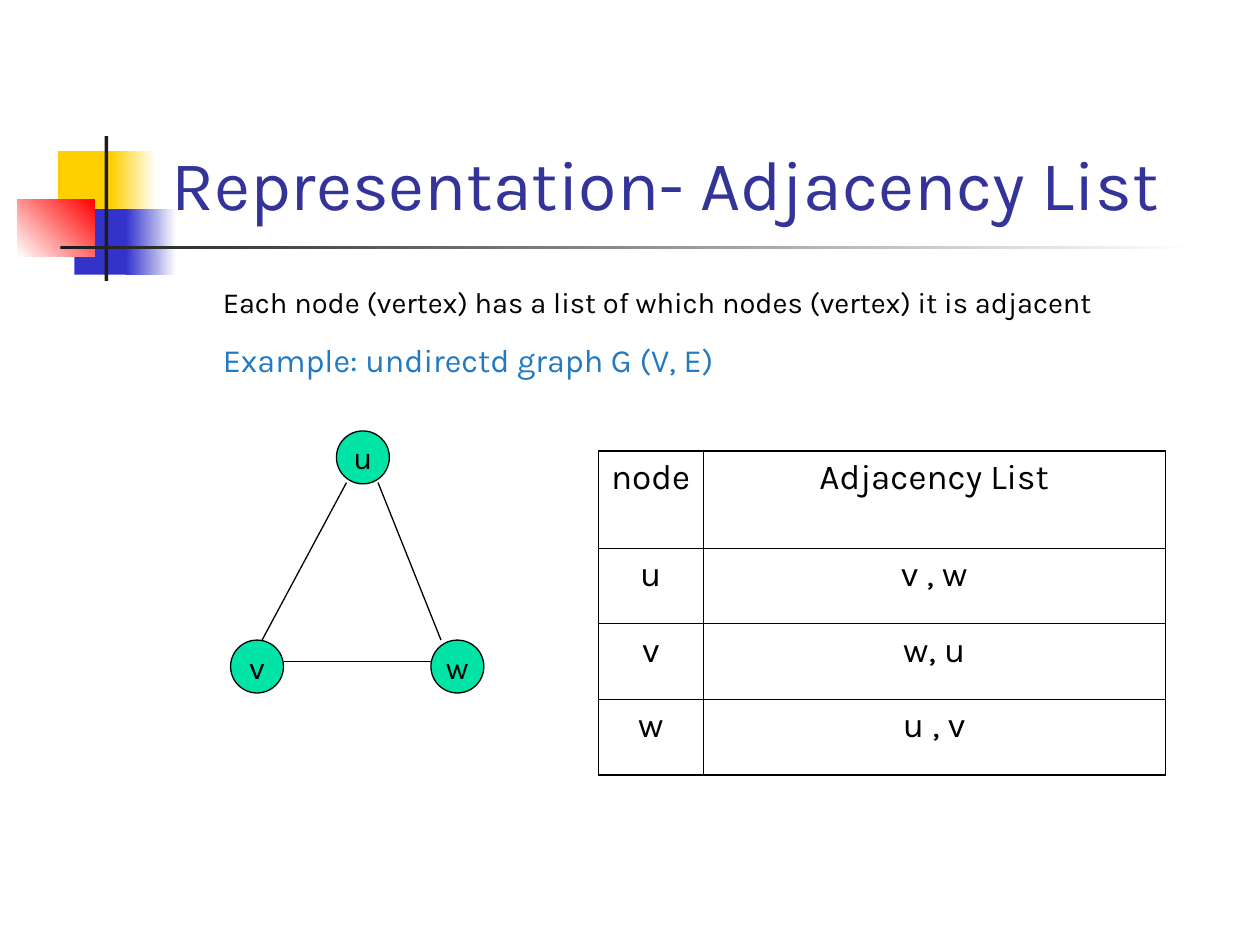
"""Build a slide that explains the adjacency list of a small undirected graph."""
from lxml import etree
from pptx import Presentation
from pptx.dml.color import RGBColor
from pptx.enum.shapes import MSO_CONNECTOR, MSO_SHAPE
from pptx.enum.text import MSO_ANCHOR, PP_ALIGN
from pptx.oxml.ns import qn
from pptx.util import Inches, Pt

RECTANGLE, OVAL = MSO_SHAPE.RECTANGLE, MSO_SHAPE.OVAL
STRAIGHT = MSO_CONNECTOR.STRAIGHT
LEFT, CENTER, JUSTIFY = PP_ALIGN.LEFT, PP_ALIGN.CENTER, PP_ALIGN.JUSTIFY
MIDDLE, BOTTOM = MSO_ANCHOR.MIDDLE, MSO_ANCHOR.BOTTOM

FONT = "Karla"
BLACK, WHITE, DARK = "000000", "FFFFFF", "1C1C1C"
YELLOW, BLUE, RED, GREEN = "FFCF01", "3333CC", "FF0000", "00E4A8"
TITLE = "Representation- Adjacency List"
STATEMENTS = [
    ("Each node (vertex) has a list of which nodes (vertex) it is adjacent",
     {"size": 16.6, "color": BLACK, "before": 4.5}),
    ("Example: undirectd graph G (V, E)",
     {"size": 18.5, "color": "237AC1", "before": 11.8}),
]
ORNAMENTS = [
    ((0.46, 1.2, 0.48, 0.52), [YELLOW], 0),
    ((0.88, 1.2, 0.36, 0.52), [YELLOW, WHITE], 0),
    ((0.59, 1.66, 0.46, 0.52), [BLUE], 0),
    ((1, 1.66, 0.4, 0.52), [BLUE, WHITE], 0),
    ((0.14, 1.58, 0.61, 0.46), [WHITE, RED], 45),
    ((0.83, 1.08, 0.03, 1.15), [DARK], 0),
    ((0.48, 1.95, 9, 0.03), [DARK, WHITE], 0),
]
NODE_SIZE = 0.42
NODES = {"u": (2.67, 3.42), "v": (1.83, 5.08), "w": (3.42, 5.08)}
EDGES = [((2.25, 5.25), (3.42, 5.25)), ((3, 3.83), (3.5, 5.08)), ((2.75, 3.83), (2.08, 5.08))]
ROWS = [("node", "Adjacency List"), ("u", "v , w"), ("v", "w, u"), ("w", "u , v")]
COLUMN_WIDTHS = [0.83, 3.67]
ROW_HEIGHTS = [0.77, 0.6, 0.6, 0.6]
OUTER, INNER = 1.08, 0.45


def rgb(value):
    """Turn a hex string into a colour."""
    return RGBColor.from_string(value)


def write(paragraph, text, size=20, color=BLACK, align=CENTER, before=0):
    """Put formatted text into a paragraph."""
    paragraph.alignment = align
    paragraph.space_before = Pt(before)
    run = paragraph.add_run()
    run.text = text
    run.font.name, run.font.size = FONT, Pt(size)
    run.font.color.rgb = rgb(color)


def add_figure(slide, kind, box, colors, angle=0):
    """Add a borderless shape with a solid or two-colour fill."""
    shape = slide.shapes.add_shape(kind, *map(Inches, box))
    shape.shadow.inherit = False
    shape.line.fill.background()
    if len(colors) == 1:
        shape.fill.solid()
        shape.fill.fore_color.rgb = rgb(colors[0])
    else:
        shape.fill.gradient()
        shape.fill.gradient_angle = angle
        for stop, color, position in zip(shape.fill.gradient_stops, colors, (0, 1)):
            stop.color.rgb = rgb(color)
            stop.position = position
    return shape


def set_line(line):
    """Give an outline the thin black graph style."""
    line.color.rgb = rgb(BLACK)
    line.width = Pt(0.75)


def add_heading(slide):
    """Place the title and the two statements under it."""
    title = slide.shapes.title
    title.left, title.top, title.width, title.height = map(Inches, (1.26, 0.23, 8.52, 1.6))
    title.text_frame.vertical_anchor = BOTTOM
    write(title.text_frame.paragraphs[0], TITLE, size=40, color="333399", align=LEFT)
    frame = slide.shapes.add_textbox(*map(Inches, (1.67, 2.21, 7.66, 0.96))).text_frame
    frame.word_wrap = True
    for index, (text, style) in enumerate(STATEMENTS):
        paragraph = frame.add_paragraph() if index else frame.paragraphs[0]
        write(paragraph, text, align=JUSTIFY, **style)


def add_graph(slide):
    """Draw the nodes and edges of the graph."""
    for name, position in NODES.items():
        node = add_figure(slide, OVAL, (*position, NODE_SIZE, NODE_SIZE), [GREEN])
        set_line(node.line)
        node.text_frame.word_wrap = False
        node.text_frame.vertical_anchor = MIDDLE
        write(node.text_frame.paragraphs[0], name, size=18)
    for start, end in EDGES:
        edge = slide.shapes.add_connector(STRAIGHT, *map(Inches, start + end))
        set_line(edge.line)
        etree.SubElement(edge.element.spPr, qn("a:effectLst"))


def set_borders(cell, widths):
    """Add black borders, given as widths by side."""
    properties = cell._tc.get_or_add_tcPr()
    for side, width in widths.items():
        border = etree.SubElement(properties, qn(f"a:ln{side}"), w=str(Pt(width)))
        fill = etree.SubElement(border, qn("a:solidFill"))
        etree.SubElement(fill, qn("a:srgbClr"), val=BLACK)


def add_adjacency_table(slide):
    """Add the table with a heavier outer frame."""
    size = (sum(COLUMN_WIDTHS), sum(ROW_HEIGHTS))
    table = slide.shapes.add_table(
        len(ROWS), len(COLUMN_WIDTHS), *map(Inches, (4.75, 3.58, *size))).table
    table.first_row = table.horz_banding = False
    for column, width in zip(table.columns, COLUMN_WIDTHS):
        column.width = Inches(width)
    last_row, last_column = len(ROWS) - 1, len(COLUMN_WIDTHS) - 1
    for row, texts in enumerate(ROWS):
        table.rows[row].height = Inches(ROW_HEIGHTS[row])
        for column, text in enumerate(texts):
            cell = table.cell(row, column)
            at_edge = {"L": column == 0, "R": column == last_column,
                       "T": row == 0, "B": row == last_row}
            set_borders(cell, {side: OUTER if outer else INNER for side, outer in at_edge.items()})
            cell.fill.background()
            align = LEFT if text == "node" else CENTER
            write(cell.text_frame.paragraphs[0], text, align=align, before=5)


def main():
    """Build and save the slide."""
    presentation = Presentation()
    presentation.slide_width, presentation.slide_height = Inches(10), Inches(7.5)
    slide = presentation.slides.add_slide(presentation.slide_layouts[5])
    for box, colors, angle in ORNAMENTS:
        add_figure(slide, RECTANGLE, box, colors, angle)
    add_heading(slide)
    add_graph(slide)
    add_adjacency_table(slide)
    presentation.save("out.pptx")


if __name__ == "__main__":
    main()
